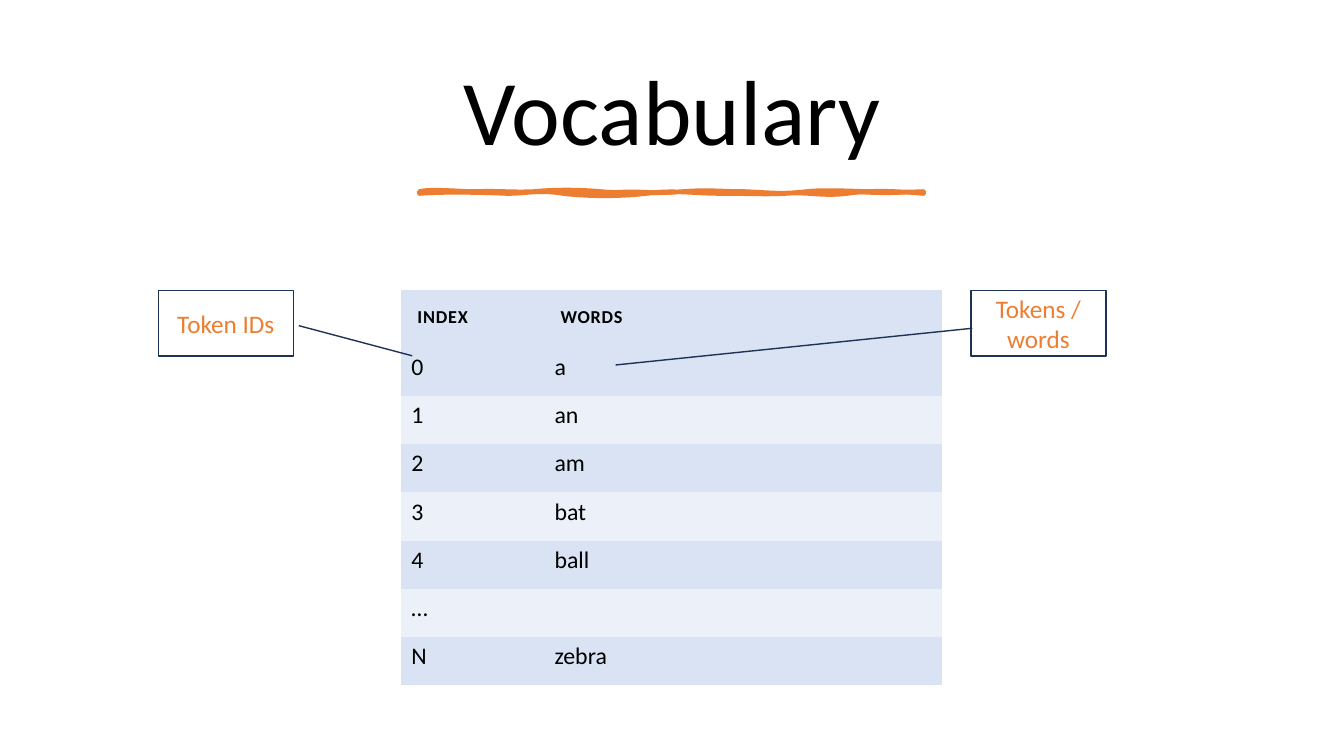
import copy

import lxml.etree
import pptx
import pptx.dml.color
import pptx.enum.shapes
import pptx.enum.text
import pptx.oxml.ns
import pptx.util

Inches = pptx.util.Inches
Pt = pptx.util.Pt
qn = pptx.oxml.ns.qn
ALIGN = pptx.enum.text.PP_ALIGN
MIDDLE = pptx.enum.text.MSO_ANCHOR.MIDDLE

COLORS = {
    "text": "000000",
    "accent": "ED7D31",
    "outline": "1E3256",
    "band": "DAE3F3",
    "light_band": "ECF1F9",
}
NO_STYLE = "{2D5ABB26-0587-4C30-8999-92F81FD0307C}"

VOCABULARY = [
    ("INDEX", "WORDS"),
    ("0", "a"),
    ("1", "an"),
    ("2", "am"),
    ("3", "bat"),
    ("4", "ball"),
    ("…", ""),
    ("N", "zebra"),
]

# Cubic curves of the underline: two control points and an end point each,
# in inches from its top left corner
STROKE_CURVES = [
    ((0.12, -0.03), (0.38, 0), (0.57, 0)),
    ((0.76, -0.01), (0.93, 0.01), (1.13, 0)),
    ((1.33, -0.02), (1.58, -0.02), (1.8, 0)),
    ((2.01, 0.02), (2.37, 0.02), (2.61, 0)),
    ((2.86, -0.02), (2.98, 0), (3.23, 0)),
    ((3.47, 0.01), (3.58, 0.03), (3.84, 0)),
    ((4.1, -0.03), (4.51, 0.02), (5, 0)),
    ((5.01, 0.01), (5, 0.01), (5, 0.02)),
    ((4.79, 0), (4.49, -0.02), (4.24, 0.02)),
    ((3.99, 0.05), (3.85, 0), (3.63, 0.02)),
    ((3.4, 0.03), (3.31, 0.02), (3.01, 0.02)),
    ((2.71, 0.02), (2.51, -0.02), (2.25, 0.02)),
    ((1.98, 0.05), (1.69, 0.05), (1.43, 0.02)),
    ((1.18, -0.02), (1.07, 0.02), (0.87, 0.02)),
    ((0.67, 0.01), (0.22, 0), (0, 0.02)),
    ((0, 0.01), (0, 0), (0, 0)),
]
FILL_CURVES = [
    ((0.16, -0.01), (0.36, -0.02), (0.62, 0)),
    ((0.87, 0.01), (0.92, 0.02), (1.18, 0)),
    ((1.44, -0.02), (1.58, 0.02), (1.8, 0)),
    ((2.02, -0.03), (2.23, -0.02), (2.51, 0)),
    ((2.79, 0.01), (3.08, -0.03), (3.28, 0)),
    ((3.47, 0.02), (3.86, -0.02), (4.09, 0)),
    ((4.32, 0.01), (4.56, 0.03), (5, 0)),
    ((5, 0), (5, 0.01), (5, 0.02)),
    ((4.63, 0.04), (4.6, 0.04), (4.24, 0.02)),
    ((3.88, -0.01), (3.8, 0.01), (3.43, 0.02)),
    ((3.05, 0.02), (3, -0.02), (2.61, 0.02)),
    ((2.23, 0.06), (2.21, 0), (2.05, 0.02)),
    ((1.88, 0.03), (1.56, 0.03), (1.28, 0.02)),
    ((1.01, 0), (0.88, 0.01), (0.62, 0.02)),
    ((0.36, 0.02), (0.25, -0.01), (0, 0.02)),
    ((0, 0.01), (0, 0), (0, 0)),
]


def rgb(name):
    return pptx.dml.color.RGBColor.from_string(COLORS[name])


def write(frame, text, size, color="text", bold=False, align=ALIGN.LEFT,
          spacing=None, tracking=0):
    frame.word_wrap = True
    paragraph = frame.paragraphs[0]
    paragraph.alignment = align
    paragraph.line_spacing = spacing
    paragraph.font.size = Pt(size)
    if not text:
        return
    run = paragraph.add_run()
    run.text = text
    run.font.name = "Calibri"
    run.font.size = Pt(size)
    run.font.bold = bold
    run.font.color.rgb = rgb(color)
    if tracking:
        run.font._element.set("spc", str(round(tracking * 100)))


def add_title(slide, text, left, top, width, height):
    title = slide.shapes.title
    title.left, title.top = Inches(left), Inches(top)
    title.width, title.height = Inches(width), Inches(height)
    frame = title.text_frame
    frame.auto_size = pptx.enum.text.MSO_AUTO_SIZE.NONE
    frame.vertical_anchor = MIDDLE
    write(frame, text, 66, align=ALIGN.CENTER, spacing=0.9)


def bend(outline, curves):
    """Replace the straight segments of an outline by cubic curves."""
    for segment, curve in zip(outline.findall(qn("a:lnTo")), curves):
        bezier = lxml.etree.Element(qn("a:cubicBezTo"))
        for x, y in curve:
            lxml.etree.SubElement(bezier, qn("a:pt"),
                                  x=str(Inches(x)), y=str(Inches(y)))
        outline.replace(segment, bezier)


def add_underline(slide, left, top):
    ends = [(Inches(left + x), Inches(top + y)) for *_, (x, y) in STROKE_CURVES]
    builder = slide.shapes.build_freeform(Inches(left), Inches(top))
    builder.add_line_segments(ends, close=True)
    underline = builder.convert_to_shape()
    stroke = underline._element.xpath(".//a:path")[0]
    inner = copy.deepcopy(stroke)
    stroke.addnext(inner)
    stroke.set("fill", "none")
    inner.set("stroke", "0")
    bend(stroke, STROKE_CURVES)
    bend(inner, FILL_CURVES)
    underline.shadow.inherit = False
    underline.fill.solid()
    underline.fill.fore_color.rgb = rgb("accent")
    underline.line.color.rgb = rgb("accent")
    underline.line.width = Pt(3.25)


def add_vocabulary(slide, left, top, width, height):
    index_width, header_height = 1.42, 0.57
    frame = slide.shapes.add_table(len(VOCABULARY), 2, Inches(left), Inches(top),
                                   Inches(width), Inches(height))
    table = frame.table
    table.first_row = table.horz_banding = False
    frame._element.xpath(".//a:tableStyleId")[0].text = NO_STYLE
    table.columns[0].width = Inches(index_width)
    table.columns[1].width = Inches(width - index_width)
    row_height = (height - header_height) / (len(VOCABULARY) - 1)

    for number, entry in enumerate(VOCABULARY):
        header = number == 0
        table.rows[number].height = Inches(header_height if header else row_height)
        light = number > 0 and number % 2 == 0
        for column, text in enumerate(entry):
            cell = table.cell(number, column)
            cell.fill.solid()
            cell.fill.fore_color.rgb = rgb("light_band" if light else "band")
            side = Inches(0.16 if header else 0.1)
            cell.margin_left = cell.margin_right = cell.margin_bottom = side
            cell.margin_top = Inches(0.16 if header else 0.05)
            write(cell.text_frame, text, 13 if header else 17, bold=header,
                  tracking=0.6 if header else 0)


def add_callout(slide, text, left, top, width, height, pointer):
    callout = slide.shapes.add_shape(
        pptx.enum.shapes.MSO_SHAPE.LINE_CALLOUT_1,
        Inches(left), Inches(top), Inches(width), Inches(height))
    callout.shadow.inherit = False
    # Pointer start and end as (y, x) shares of the box
    for number, share in enumerate(pointer):
        callout.adjustments[number] = share
    callout.fill.background()
    callout.line.color.rgb = rgb("outline")
    callout.line.width = Pt(1)
    callout.text_frame.vertical_anchor = MIDDLE
    write(callout.text_frame, text, 18, color="accent", align=ALIGN.CENTER)


deck = pptx.Presentation()
deck.slide_width, deck.slide_height = Inches(13.33), Inches(7.5)
vocabulary = deck.slides.add_slide(deck.slide_layouts[5])

# Heading
add_title(vocabulary, "Vocabulary", 0.7, 0.46, 11.93, 1.37)
add_underline(vocabulary, 4.16, 1.9)

# Table with a callout on each side
add_vocabulary(vocabulary, 3.98, 2.88, 5.36, 3.92)
for label, label_left, label_pointer in (
        ("Token IDs", 1.57, (0.54, 1.04, 1, 1.88)),
        ("Tokens / words", 9.63, (0.58, 0.01, 1.14, -2.63))):
    add_callout(vocabulary, label, label_left, 2.88, 1.34, 0.65, label_pointer)

deck.save("out.pptx")
